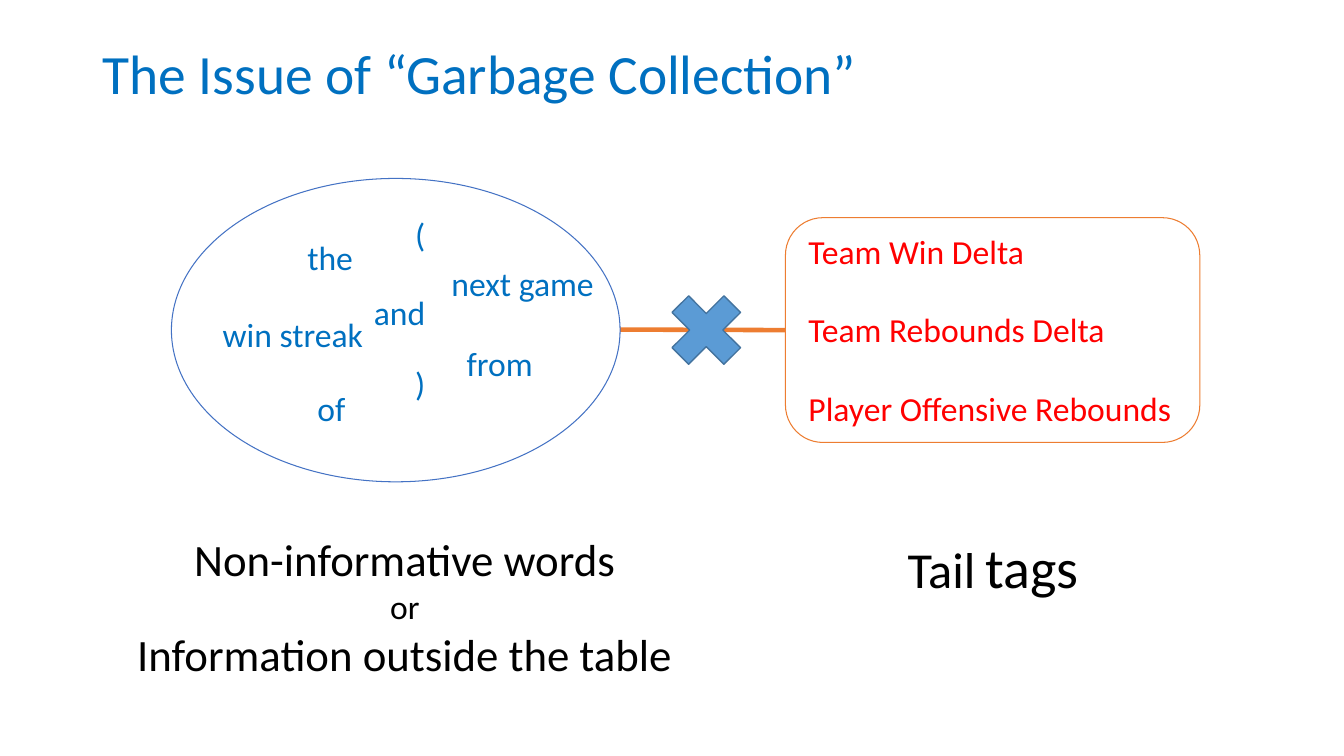
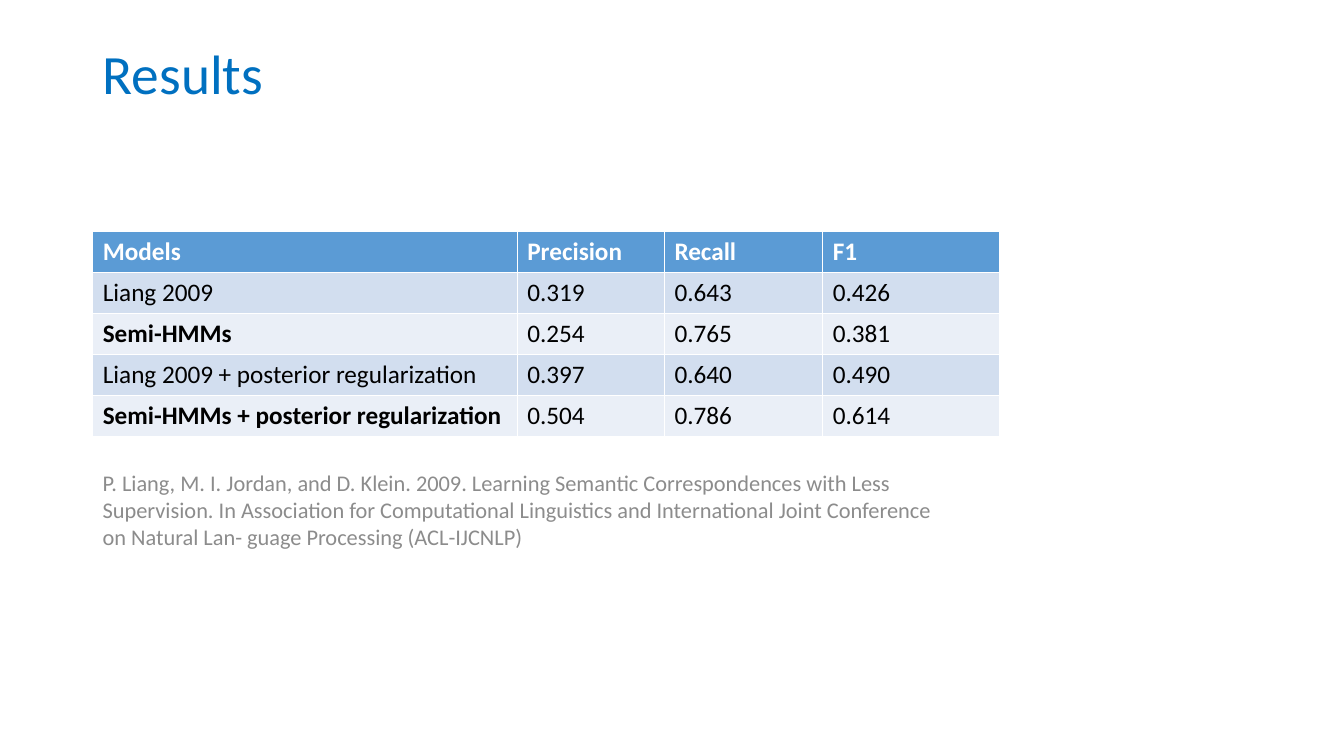
from lxml import etree
from pptx import Presentation
from pptx.dml.color import RGBColor
from pptx.enum.shapes import MSO_CONNECTOR, MSO_SHAPE
from pptx.enum.text import MSO_ANCHOR, PP_ALIGN
from pptx.oxml.ns import qn
from pptx.util import Inches, Pt

LEFT, CENTER = PP_ALIGN.LEFT, PP_ALIGN.CENTER
TOP, MIDDLE = MSO_ANCHOR.TOP, MSO_ANCHOR.MIDDLE
ELLIPSE, ROUNDED = MSO_SHAPE.OVAL, MSO_SHAPE.ROUNDED_RECTANGLE
CROSS, STRAIGHT = MSO_SHAPE.MATH_MULTIPLY, MSO_CONNECTOR.STRAIGHT

FONT = "Calibri"
BLUE, RED, BLACK, GRAY, WHITE = "0070C0", "FF0000", "000000", "8C8C8C", "FFFFFF"
ORANGE, OUTLINE_BLUE = "ED7D31", "4472C4"
FILL_BLUE, CROSS_EDGE = "5B9BD5", "43739E"
BANDS = ["D2DEEF", "EAEFF7"]


def rgb(value):
    return RGBColor.from_string(value)


def add_text(slide, at, paragraphs, color, align=LEFT, anchor=TOP, wrap=False):
    """Add a text box; each paragraph is a list of (text, size) runs."""
    sp = slide.shapes.add_textbox(*[Inches(v) for v in at])
    tf = sp.text_frame
    tf.word_wrap = wrap
    tf.vertical_anchor = anchor
    for i, runs in enumerate(paragraphs):
        p = tf.add_paragraph() if i else tf.paragraphs[0]
        p.alignment = align
        for text, size in runs:
            r = p.add_run()
            r.text = text
            r.font.name = FONT
            r.font.size = Pt(size)
            r.font.color.rgb = rgb(color)
    return sp


prs = Presentation()
prs.slide_width, prs.slide_height = Inches(13.33), Inches(7.5)

slides = []
for title in ["The Issue of “Garbage Collection”", "Results"]:
    slide = prs.slides.add_slide(prs.slide_layouts[6])
    sp = add_text(slide, (0.92, 0.4, 11.5, 0.71), [[(title, 39.6)]], BLUE,
                  anchor=MIDDLE, wrap=True)
    sp.text_frame.paragraphs[0].line_spacing = 0.9
    slides.append(slide)
issue, results = slides

# Slide 1: words on the left, tags on the right
words = [
    ("the", 2.95, 2.3, 0.66),
    ("and", 3.61, 2.85, 0.72),
    ("(", 4.02, 2.07, 0.3),
    (")", 4.02, 3.55, 0.3),
    ("next game", 4.38, 2.56, 1.63),
    ("from", 4.53, 3.35, 0.86),
    ("of", 3.05, 3.8, 0.48),
    ("win streak", 2.11, 3.07, 1.61),
]
for text, x, y, w in words:
    add_text(issue, (x, y, w, 0.5), [[(text, 24)]], BLUE)

tags = [("Team Win Delta", 2.36), ("Team Rebounds Delta", 3.17),
        ("Player Offensive Rebounds", 3.84)]
for i, (text, w) in enumerate(tags):
    add_text(issue, (7.92, 2.24 + 0.78 * i, w, 0.5), [[(text, 24)]], RED)

add_text(issue, (1.23, 5.23, 5.57, 1.58),
         [[("Non-informative words", 32)], [("or", 24)],
          [("Information outside the table", 32)]], BLACK, align=CENTER)
add_text(issue, (8.89, 5.23, 1.92, 0.77),
         [[("Tail", 36), (" ", 32), ("tags", 40)]], BLACK, align=CENTER)

link = issue.shapes.add_connector(STRAIGHT, Inches(6.15), Inches(3.27),
                                  Inches(7.79), Inches(3.27))
link.line.color.rgb = rgb(ORANGE)
link.line.width = Pt(3.25)
etree.SubElement(link._element.spPr, qn("a:effectLst"))

outlines = [
    (ELLIPSE, (1.7, 1.77, 4.45, 3.01), None, OUTLINE_BLUE, 0.75),
    (CROSS, (6.51, 2.78, 0.99, 0.99), FILL_BLUE, CROSS_EDGE, 1),
    (ROUNDED, (7.79, 2.16, 4.11, 2.23), None, ORANGE, 0.75),
]
for kind, at, fill, line, width in outlines:
    sp = issue.shapes.add_shape(kind, *[Inches(v) for v in at])
    sp.shadow.inherit = False
    if fill:
        sp.fill.solid()
        sp.fill.fore_color.rgb = rgb(fill)
    else:
        sp.fill.background()
    sp.line.color.rgb = rgb(line)
    sp.line.width = Pt(width)
    if kind == ROUNDED:
        link.end_connect(sp, 1)

# Slide 2: scores and their reference
rows = [
    ["Models", "Precision", "Recall", "F1"],
    ["Liang 2009", "0.319", "0.643", "0.426"],
    ["Semi-HMMs", "0.254", "0.765", "0.381"],
    ["Liang 2009 + posterior regularization", "0.397", "0.640", "0.490"],
    ["Semi-HMMs + posterior regularization", "0.504", "0.786", "0.614"],
]
col_widths = [4.21, 1.46, 1.57, 1.75]
table = results.shapes.add_table(
    len(rows), len(col_widths), Inches(0.92), Inches(2.3),
    Inches(sum(col_widths)), Inches(2.03)).table
for column, width in zip(table.columns, col_widths):
    column.width = Inches(width)
for i, row in enumerate(rows):
    header = i == 0
    for j, text in enumerate(row):
        cell = table.cell(i, j)
        cell.text_frame.text = text
        cell.fill.solid()
        cell.fill.fore_color.rgb = rgb(FILL_BLUE if header else BANDS[(i - 1) % 2])
        font = cell.text_frame.paragraphs[0].runs[0].font
        font.name = FONT
        font.size = Pt(18)
        font.bold = header or text.startswith("Semi-HMMs")
        font.color.rgb = rgb(WHITE if header else BLACK)

reference = (
    "P. Liang, M. I. Jordan, and D. Klein. 2009. Learning Semantic "
    "Correspondences with Less Supervision. In Association for Computational "
    "Linguistics and International Joint Conference on Natural Lan- guage "
    "Processing (ACL-IJCNLP)"
)
add_text(results, (0.92, 4.6, 8.47, 0.91), [[(reference, 16)]], GRAY,
         anchor=MIDDLE, wrap=True)

prs.save("out.pptx")
